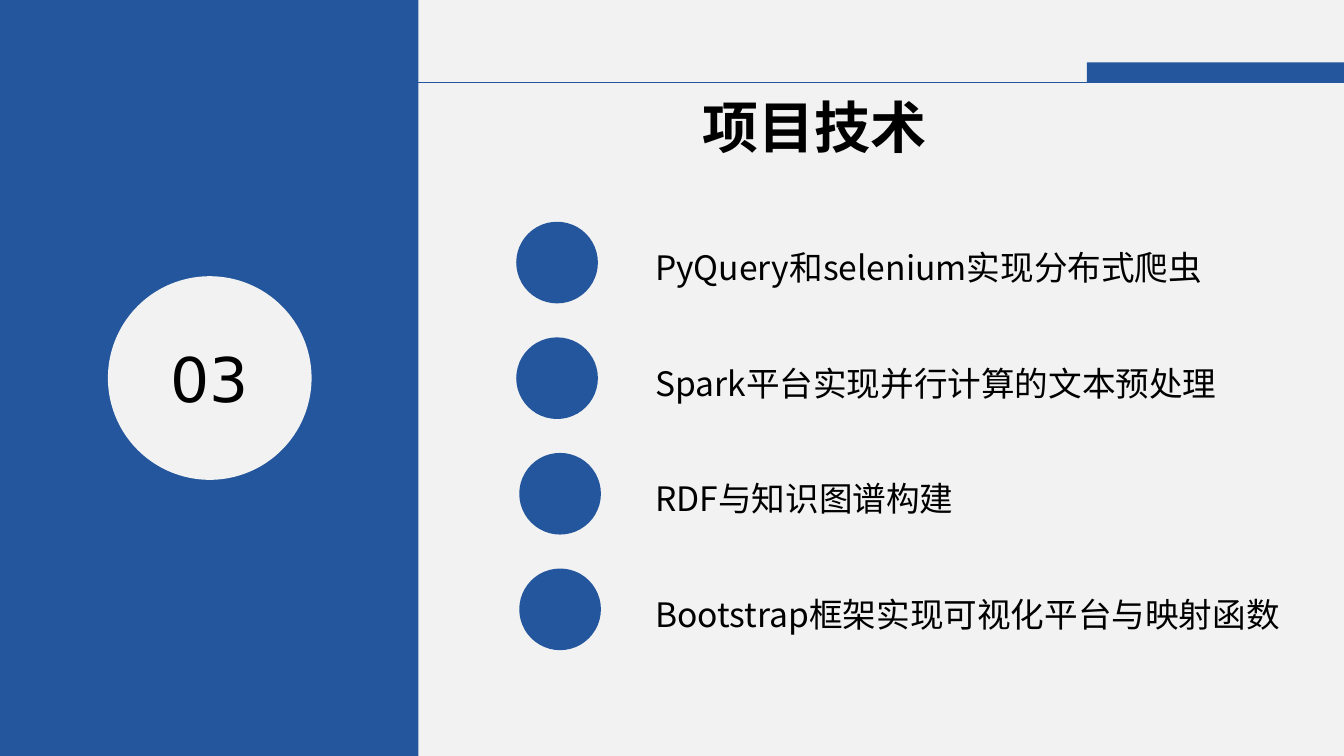
from dataclasses import dataclass

from lxml.etree import SubElement
from pptx import Presentation
from pptx.dml.color import RGBColor
from pptx.enum.shapes import MSO_CONNECTOR as Connector, MSO_SHAPE as Preset
from pptx.enum.text import MSO_ANCHOR as Anchor, MSO_AUTO_SIZE as AutoSize, PP_ALIGN as Align
from pptx.oxml.ns import qn
from pptx.shapes.base import BaseShape
from pptx.slide import Slide
from pptx.util import Inches, Pt

COLORS = {"blue": "24569D", "light": "F2F2F2", "black": "000000"}
LATIN_FONT = "DejaVu Sans"
CHINESE_FONT = "Noto Sans CJK SC"
CIRCLE_SIZE = 0.81
TOPIC_PITCH = 3.44 / 3


@dataclass
class Block:
    preset: Preset
    left: float
    top: float
    width: float
    height: float
    color: str = "blue"


@dataclass
class Label:
    text: str
    left: float
    top: float
    width: float
    height: float
    size: float
    font: str = LATIN_FONT
    bold: bool = False
    spacing: float = 1.0
    wrap: bool = True


@dataclass
class Topic:
    text: str
    circle_left: float


BLOCKS = [
    Block(Preset.RECTANGLE, 10.78, 0.62, 2.55, 0.2),
    Block(Preset.RECTANGLE, 0, 0, 4.15, 7.5),
    Block(Preset.OVAL, 1.07, 2.74, 2.02, 2.02, "light"),
]
TITLE = Label("项目技术", 6.87, 0.87, 3.67, 0.76, 40, bold=True)
NUMBER = Label("03", 1.59, 3.33, 0.97, 0.83, 44, wrap=False)
TOPICS = [
    Topic("PyQuery和selenium实现分布式爬虫", 5.12),
    Topic("Spark平台实现并行计算的文本预处理", 5.12),
    Topic("RDF与知识图谱构建", 5.15),
    Topic("Bootstrap框架实现可视化平台与映射函数", 5.15),
]


def color_of(name: str) -> RGBColor:
    return RGBColor.from_string(COLORS[name])


def apply_format(target: object, values: dict) -> None:
    for name, value in values.items():
        setattr(target, name, value)


def draw_block(slide: Slide, block: Block) -> None:
    bounds = map(Inches, (block.left, block.top, block.width, block.height))
    shape = slide.shapes.add_shape(block.preset, *bounds)
    shape.shadow.inherit = False
    shape.fill.solid()
    shape.fill.fore_color.rgb = color_of(block.color)
    shape.line.fill.background()


def draw_rule(slide: Slide) -> None:
    ends = map(Inches, (0, 0.82, 13.33, 0.82))
    rule = slide.shapes.add_connector(Connector.STRAIGHT, *ends)
    rule.line.color.rgb = color_of("blue")
    rule.line.width = Pt(0.75)
    SubElement(rule._element.spPr, qn("a:effectLst"))


def write_label(shape: BaseShape, label: Label) -> None:
    apply_format(shape, {
        "left": Inches(label.left), "top": Inches(label.top),
        "width": Inches(label.width), "height": Inches(label.height),
    })
    frame = shape.text_frame
    apply_format(frame, {
        "word_wrap": label.wrap, "auto_size": AutoSize.NONE, "vertical_anchor": Anchor.TOP,
        "margin_left": Inches(0.1), "margin_right": Inches(0.1),
        "margin_top": Inches(0.05), "margin_bottom": Inches(0.05),
    })
    paragraph = frame.paragraphs[0]
    apply_format(paragraph, {"alignment": Align.LEFT, "line_spacing": label.spacing})
    run = paragraph.add_run()
    run.text = label.text
    apply_format(run.font, {"name": label.font, "size": Pt(label.size), "bold": label.bold})
    run.font.color.rgb = color_of("black")
    SubElement(run.font._element, qn("a:ea"), typeface=CHINESE_FONT)


def draw_label(slide: Slide, label: Label) -> None:
    write_label(slide.shapes.add_textbox(0, 0, 0, 0), label)


def main() -> None:
    presentation = Presentation()
    apply_format(presentation, {"slide_width": Inches(13.33), "slide_height": Inches(7.5)})
    slide = presentation.slides.add_slide(presentation.slide_layouts[5])
    slide.background.fill.solid()
    slide.background.fill.fore_color.rgb = color_of("light")

    draw_rule(slide)
    for block in BLOCKS:
        draw_block(slide, block)
    write_label(slide.shapes.title, TITLE)
    draw_label(slide, NUMBER)
    for index, topic in enumerate(TOPICS):
        offset = index * TOPIC_PITCH
        draw_block(slide, Block(Preset.OVAL, topic.circle_left, 2.2 + offset, CIRCLE_SIZE, CIRCLE_SIZE))
        draw_label(slide, Label(topic.text, 6.4, 2.3 + offset, 6.49, 0.5, 24, CHINESE_FONT, spacing=1.25))

    presentation.save("out.pptx")


if __name__ == "__main__":
    main()
